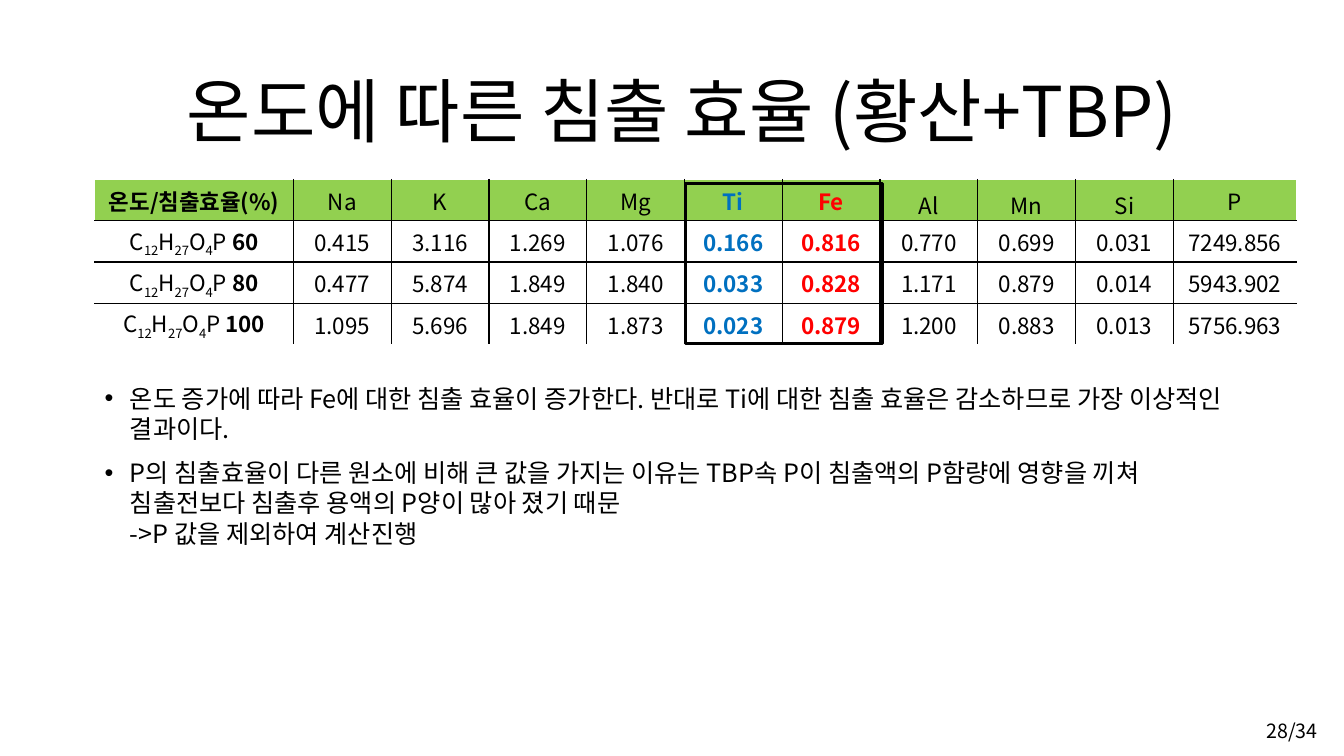
import pptx
import pptx.util
from lxml import etree
from pptx.dml.color import RGBColor
from pptx.enum.shapes import MSO_SHAPE
from pptx.enum.text import MSO_ANCHOR, PP_ALIGN
from pptx.oxml.ns import qn
from pptx.util import Inches, Pt

FONT = "Noto Sans CJK KR"
BLACK = RGBColor(0x00, 0x00, 0x00)
WHITE = RGBColor(0xFF, 0xFF, 0xFF)
GREEN = RGBColor(0x92, 0xD0, 0x50)
BLUE = RGBColor(0x00, 0x70, 0xC0)
RED = RGBColor(0xFF, 0x00, 0x00)

TITLE = "온도에 따른 침출 효율 (황산+TBP)"
PAGE = "28/34"
CORNER = "온도/침출효율(%)"
ELEMENTS = ["Na", "K", "Ca", "Mg", "Ti", "Fe", "Al", "Mn", "Si", "P"]
FORMULA = [("C", False), ("12", True), ("H", False), ("27", True),
           ("O", False), ("4", True), ("P", False)]
EFFICIENCY = {
    60: ["0.415", "3.116", "1.269", "1.076", "0.166", "0.816", "0.770", "0.699", "0.031", "7249.856"],
    80: ["0.477", "5.874", "1.849", "1.840", "0.033", "0.828", "1.171", "0.879", "0.014", "5943.902"],
    100: ["1.095", "5.696", "1.849", "1.873", "0.023", "0.879", "1.200", "0.883", "0.013", "5756.963"],
}
HIGHLIGHTS = {"Ti": BLUE, "Fe": RED}
LOW_HEADERS = {"Al", "Mn", "Si"}
FINDINGS = [
    "온도 증가에 따라 Fe에 대한 침출 효율이 증가한다. 반대로 Ti에 대한 침출 효율은 "
    "감소하므로 가장 이상적인 결과이다.",
    "P의 침출효율이 다른 원소에 비해 큰 값을 가지는 이유는 TBP속 P이 침출액의 P함량에 "
    "영향을 끼쳐 침출전보다 침출후 용액의 P양이 많아 졌기 때문 \v->P 값을 제외하여 계산진행",
]
COL_WIDTHS = [1.97] + [0.97] * 9 + [1.22]
ROW_HEIGHT = 0.41


def style_run(r, size, color=BLACK, bold=False):
    """Format a run, with the same font for Latin and Korean text."""
    r.font.size = Pt(size)
    r.font.name = FONT
    r.font.bold = bold
    r.font.color.rgb = color
    etree.SubElement(r.font._element, qn("a:ea")).set("typeface", FONT)


def add_text(s, box, paragraphs, size, align=None, anchor=MSO_ANCHOR.TOP, spacing=None):
    tf = s.shapes.add_textbox(*map(Inches, box)).text_frame
    tf.word_wrap = True
    tf.vertical_anchor = anchor
    for i, text in enumerate(paragraphs):
        p = tf.paragraphs[0] if i == 0 else tf.add_paragraph()
        p.text = text
        p.alignment = align
        p.line_spacing = spacing
        for r in p.runs:
            style_run(r, size)
    return tf


def set_borders(cell, first_row, last_row, first_col, last_col):
    """Draw black inner rules and white outer edges."""
    tcPr = cell._tc.get_or_add_tcPr()
    edges = [("L", first_col), ("R", last_col), ("T", first_row), ("B", last_row)]
    for i, (side, outer) in enumerate(edges):
        ln = etree.Element(qn(f"a:ln{side}"), w=str(Pt(1)))
        fill = etree.SubElement(ln, qn("a:solidFill"))
        etree.SubElement(fill, qn("a:srgbClr"), val=str(WHITE if outer else BLACK))
        tcPr.insert(i, ln)


def fill_cell(cell, parts, color, bold):
    """Write (text, subscript) parts; a number after a formula is bold."""
    p = cell.text_frame.paragraphs[0]
    p.alignment = PP_ALIGN.CENTER
    for text, subscript in parts:
        r = p.add_run()
        r.text = text
        style_run(r, 16, color, bold or text.startswith(" "))
        if subscript:
            r.font._element.set("baseline", "-25000")


def add_efficiency_table(s):
    rows = [[[(text, False)] for text in [CORNER] + ELEMENTS]]
    for temperature, values in EFFICIENCY.items():
        rows.append([FORMULA + [(f" {temperature}", False)]] + [[(v, False)] for v in values])
    n_rows, n_cols = len(rows), len(COL_WIDTHS)
    table = s.shapes.add_table(n_rows, n_cols, Inches(0.94), Inches(1.78),
                               Inches(sum(COL_WIDTHS)), Inches(ROW_HEIGHT * n_rows)).table
    for col, width in zip(table.columns, COL_WIDTHS):
        col.width = Inches(width)
    for i, row in enumerate(rows):
        table.rows[i].height = Inches(ROW_HEIGHT)
        for j, (parts, element) in enumerate(zip(row, [CORNER] + ELEMENTS)):
            cell = table.cell(i, j)
            cell.margin_left = cell.margin_top = cell.margin_right = Inches(0.01)
            cell.margin_bottom = 0
            low = i == 0 and element in LOW_HEADERS
            cell.vertical_anchor = MSO_ANCHOR.BOTTOM if low else MSO_ANCHOR.MIDDLE
            cell.fill.solid()
            cell.fill.fore_color.rgb = GREEN if i == 0 else WHITE
            set_borders(cell, i == 0, i == n_rows - 1, j == 0, j == n_cols - 1)
            bold = element in HIGHLIGHTS or (i == 0 and j == 0)
            fill_cell(cell, parts, HIGHLIGHTS.get(element, BLACK), bold)


def add_findings(s):
    tf = add_text(s, (0.94, 3.75, 11.5, 3.09), FINDINGS, 18)
    for i, p in enumerate(tf.paragraphs):
        if i:
            p.space_before = Pt(10)
        pPr = p._p.get_or_add_pPr()
        pPr.set("marL", str(Inches(0.25)))
        pPr.set("indent", str(-Inches(0.25)))
        etree.SubElement(pPr, qn("a:buFont"), typeface="Arial")
        etree.SubElement(pPr, qn("a:buChar"), char="•")


def main():
    prs = pptx.Presentation()
    prs.slide_width, prs.slide_height = Inches(13.33), Inches(7.5)
    s = prs.slides.add_slide(prs.slide_layouts[6])
    add_efficiency_table(s)

    frame = s.shapes.add_shape(MSO_SHAPE.RECTANGLE, *map(Inches, (6.8, 1.82, 1.95, 1.59)))
    frame.shadow.inherit = False
    frame.fill.background()
    frame.line.color.rgb = BLACK
    frame.line.width = Pt(2.25)

    add_text(s, (0.65, 0.41, 12.23, 1.45), [TITLE], 50, PP_ALIGN.CENTER, MSO_ANCHOR.MIDDLE, 0.9)
    add_findings(s)
    add_text(s, (12.29, 7.01, 1.05, 0.51), [PAGE], 14, PP_ALIGN.CENTER, MSO_ANCHOR.MIDDLE, 0.9)
    prs.save("out.pptx")


if __name__ == "__main__":
    main()
